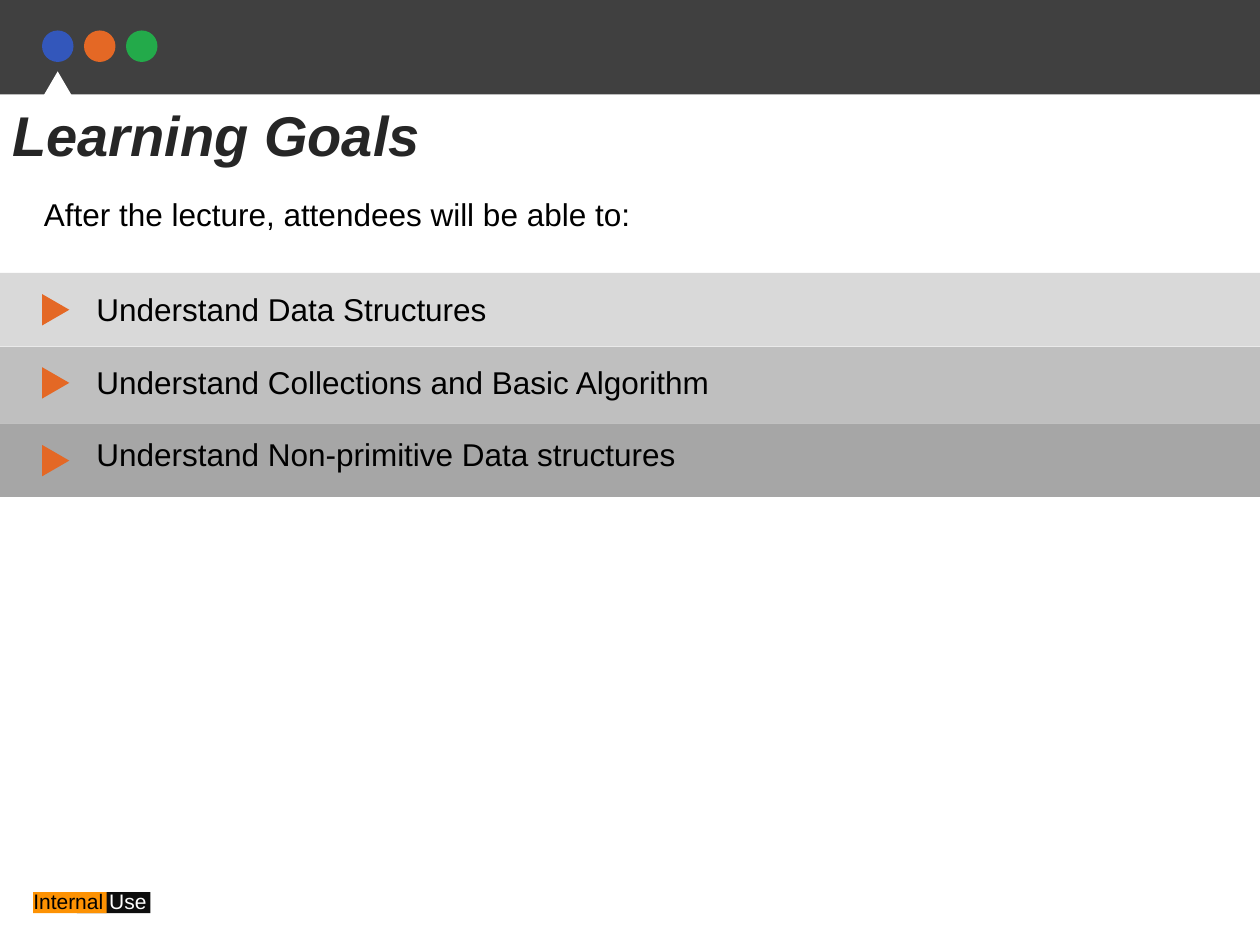
from dataclasses import dataclass

from pptx import Presentation
from pptx.dml.color import RGBColor
from pptx.enum.shapes import MSO_SHAPE
from pptx.util import Pt

RECTANGLE = MSO_SHAPE.RECTANGLE
OVAL = MSO_SHAPE.OVAL
TRIANGLE = MSO_SHAPE.ISOSCELES_TRIANGLE

FONT = "Arial"
PAGE_WIDTH, PAGE_HEIGHT = 720, 540
BLACK, WHITE, ORANGE = "000000", "FFFFFF", "E46825"


@dataclass
class Frame:
    """Position and size in points."""
    left: float
    top: float
    width: float
    height: float


@dataclass
class Goal:
    text: str
    color: str
    band_top: float
    band_height: float
    text_top: float
    marker_top: float


GOALS = [
    Goal("Understand Data Structures", "D9D9D9", 156, 42, 162, 169.2),
    Goal("Understand Collections and Basic Algorithm", "BFBFBF", 198.3, 43.6, 203.8, 211),
    Goal("Understand Non-primitive Data structures", "A6A6A6", 241.9, 42, 244.8, 255.4),
]


def rgb(color: str) -> RGBColor:
    return RGBColor.from_string(color)


def add_filled(page, kind, frame: Frame, color: str, rotation: float = 0) -> None:
    shape = page.shapes.add_shape(
        kind, Pt(frame.left), Pt(frame.top), Pt(frame.width), Pt(frame.height))
    shape.shadow.inherit = False
    shape.fill.solid()
    shape.fill.fore_color.rgb = rgb(color)
    shape.line.fill.background()
    shape.rotation = rotation


def add_text(page, frame: Frame, spans: list[tuple[str, str]], size: float,
             emphasis: bool = False) -> None:
    """Add one paragraph of (text, colour) spans; emphasis is bold italic."""
    box = page.shapes.add_textbox(
        Pt(frame.left), Pt(frame.top), Pt(frame.width), Pt(frame.height))
    box.text_frame.word_wrap = True
    para = box.text_frame.paragraphs[0]
    para.font.name = FONT
    para.font.size = Pt(size)
    para.font.bold = emphasis
    para.font.italic = emphasis
    for text, color in spans:
        span = para.add_run()
        span.text = text
        span.font.color.rgb = rgb(color)


def add_header(page) -> None:
    add_filled(page, RECTANGLE, Frame(0, 0, PAGE_WIDTH, 54), "404040")
    for index, color in enumerate(("3357BB", ORANGE, "23AA4A")):
        add_filled(page, OVAL, Frame(24 + 24 * index, 17.4, 18, 18), color)
    add_filled(page, TRIANGLE, Frame(12, 40.8, 42, 36), WHITE)


def add_footer(page) -> None:
    add_filled(page, RECTANGLE, Frame(44, 509.8, 42, 12), "0D0D0D")
    add_filled(page, RECTANGLE, Frame(19, 509.8, 42, 12), "FD9203")
    add_text(page, Frame(12, 504, 108, 21.6), [("Internal ", BLACK), ("Use", WHITE)], 12)


def add_goal(page, goal: Goal) -> None:
    add_filled(page, RECTANGLE, Frame(0, goal.band_top, PAGE_WIDTH, goal.band_height), goal.color)
    add_filled(page, TRIANGLE, Frame(22.8, goal.marker_top, 18, 15.6), ORANGE, rotation=90)
    add_text(page, Frame(48, goal.text_top, 642, 29), [(goal.text, BLACK)], 18)


def main() -> None:
    deck = Presentation()
    deck.slide_width, deck.slide_height = Pt(PAGE_WIDTH), Pt(PAGE_HEIGHT)
    page = deck.slides.add_slide(deck.slide_layouts[6])
    add_header(page)
    add_footer(page)
    add_text(page, Frame(0, 54, 336, 46), [("Learning Goals", "262626")], 32, emphasis=True)
    add_text(page, Frame(18, 108, 504, 36),
             [("After the lecture, attendees will be able to:", BLACK)], 18)
    for goal in GOALS:
        add_goal(page, goal)
    deck.save("out.pptx")


if __name__ == "__main__":
    main()
